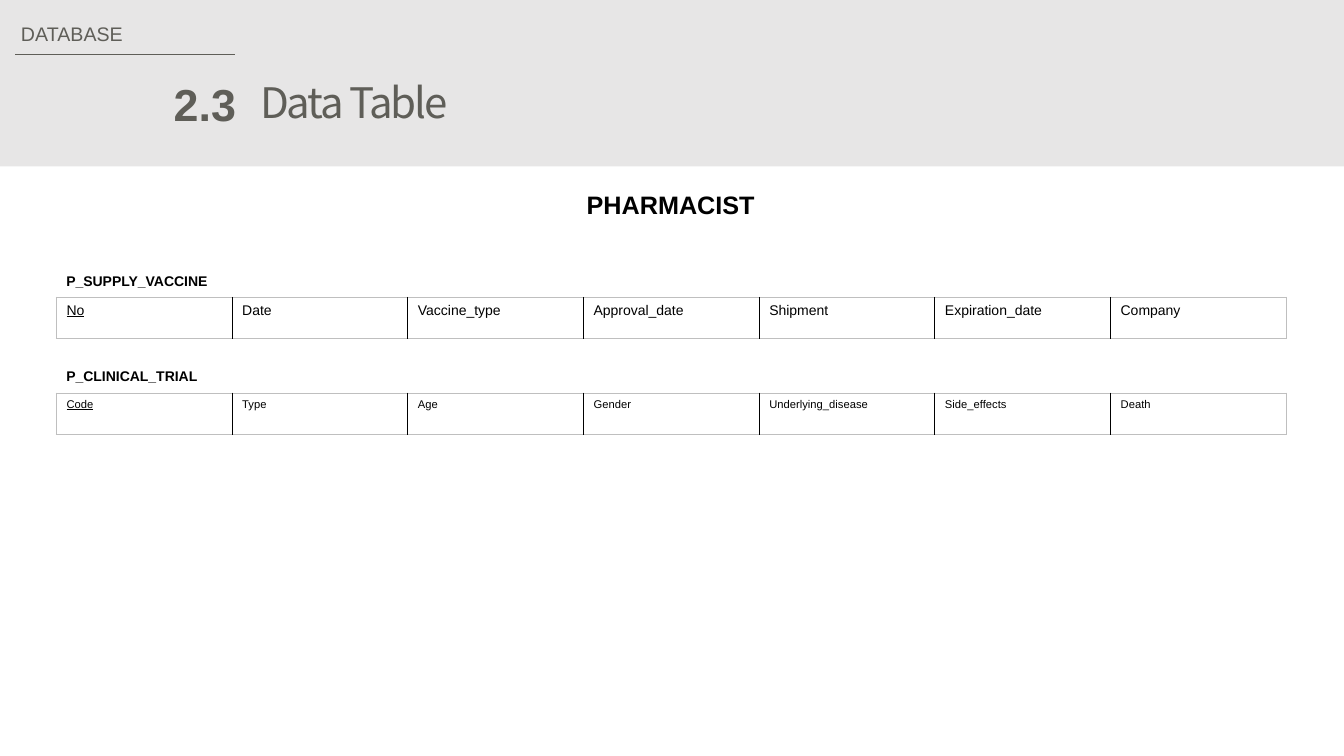
from dataclasses import dataclass

from lxml import etree
from pptx import Presentation, util as u
from pptx.dml.color import RGBColor
from pptx.enum import shapes, text
from pptx.oxml.ns import qn

PX = 9144  # one px is a hundredth of an inch


@dataclass(frozen=True)
class Theme:
    band: str = "E7E6E6"
    heading: str = "5F5E58"
    body: str = "000000"
    paper: str = "FFFFFF"
    frame: str = "BFBFBF"
    font: str = "Arial"
    title_font: str = "Noto Sans CJK KR"
    section_size: int = 14
    number_size: int = 32
    title_size: int = 30
    role_size: int = 18
    label_size: int = 10
    small_size: int = 8


class SlideBuilder:
    def __init__(self, slide, theme):
        self.slide, self.theme = slide, theme

    def box(self, left, top, width, height):
        return [u.Emu(v * PX) for v in (left, top, width, height)]

    def add_words(self, frame, words, size, color, font=None, bold=False,
                  underline=False, align=text.PP_ALIGN.LEFT):
        paragraph = frame.paragraphs[0]
        paragraph.alignment = align
        run = paragraph.add_run()
        run.text = words
        run.font.name = font or self.theme.font
        run.font.size = u.Pt(size)
        run.font.bold, run.font.underline = bold, underline
        run.font.color.rgb = RGBColor.from_string(color)
        return run

    def band(self, *place):
        band = self.slide.shapes.add_shape(
            shapes.MSO_SHAPE.RECTANGLE, *self.box(*place))
        band.shadow.inherit = False
        band.fill.solid()
        band.fill.fore_color.rgb = RGBColor.from_string(self.theme.band)
        band.line.fill.background()

    def rule(self, left, right, y):
        rule = self.slide.shapes.add_connector(
            shapes.MSO_CONNECTOR.STRAIGHT, *self.box(left, y, right, y))
        rule.line.color.rgb = RGBColor.from_string(self.theme.heading)
        rule.line.width = u.Pt(0.5)
        etree.SubElement(rule._element.spPr, qn("a:effectLst"))

    def label(self, place, words, size, color, wrap=False, **style):
        label = self.slide.shapes.add_textbox(*self.box(*place))
        label.text_frame.word_wrap = wrap
        label.text_frame.auto_size = text.MSO_AUTO_SIZE.SHAPE_TO_FIT_TEXT
        self.add_words(label.text_frame, words, size, color, **style)

    def title(self, place, words):
        title = self.slide.shapes.title
        title.left, title.top, title.width, title.height = self.box(*place)
        frame = title.text_frame
        frame.word_wrap = False
        frame.auto_size = text.MSO_AUTO_SIZE.NONE
        frame.vertical_anchor = text.MSO_ANCHOR.TOP
        run = self.add_words(frame, words, self.theme.title_size,
                             self.theme.heading, font=self.theme.title_font)
        run.font._element.set("spc", "-150")

    def borders(self, cell, first, last):
        properties = cell._tc.get_or_add_tcPr()
        frame, body = self.theme.frame, self.theme.body
        sides = {"lnL": frame if first else body,
                 "lnR": frame if last else body,
                 "lnT": frame, "lnB": frame}
        for position, (side, color) in enumerate(sides.items()):
            line = etree.Element(qn(f"a:{side}"), w=str(u.Pt(1)))
            fill = etree.SubElement(line, qn("a:solidFill"))
            etree.SubElement(fill, qn("a:srgbClr"), val=color)
            properties.insert(position, line)

    def schema(self, place, fields, size):
        table = self.slide.shapes.add_table(
            1, len(fields), *self.box(*place)).table
        table.first_row = table.horz_banding = False
        for index, field in enumerate(fields):
            cell = table.cell(0, index)
            cell.fill.solid()
            cell.fill.fore_color.rgb = RGBColor.from_string(self.theme.paper)
            self.borders(cell, index == 0, index == len(fields) - 1)
            # The first field is the primary key
            self.add_words(cell.text_frame, field, size, self.theme.body,
                           underline=index == 0)


def main():
    theme = Theme()
    deck = Presentation()
    deck.slide_width, deck.slide_height = u.Inches(13.33), u.Inches(7.5)
    page = SlideBuilder(deck.slides.add_slide(deck.slide_layouts[5]), theme)

    # Header band; the title goes above it
    page.band(0, 0, 1333, 165)
    tree = page.slide.shapes._spTree
    tree.append(page.slide.shapes.title._element)
    page.rule(15, 233, 54)
    page.label((11, 17, 122, 34), "DATABASE", theme.section_size, theme.heading)
    page.label((162, 71, 82, 64), "2.3", theme.number_size, theme.heading,
               bold=True, align=text.PP_ALIGN.RIGHT)
    page.title((248, 71, 211, 61), "Data Table")

    # Role that owns the tables
    page.label((572, 183, 188, 40), "PHARMACIST", theme.role_size, theme.body,
               bold=True)

    # Table schemas
    schemas = [
        ("P_SUPPLY_VACCINE", theme.label_size,
         ["No", "Date", "Vaccine_type", "Approval_date", "Shipment",
          "Expiration_date", "Company"]),
        ("P_CLINICAL_TRIAL", theme.small_size,
         ["Code", "Type", "Age", "Gender", "Underlying_disease",
          "Side_effects", "Death"]),
    ]
    for index, (name, size, fields) in enumerate(schemas):
        top = 265 + 95 * index
        page.label((56, top, 200, 27), name, theme.label_size, theme.body,
                   wrap=True, bold=True)
        page.schema((56, top + 30, 1220, 41), fields, size)

    deck.save("out.pptx")


if __name__ == "__main__":
    main()
